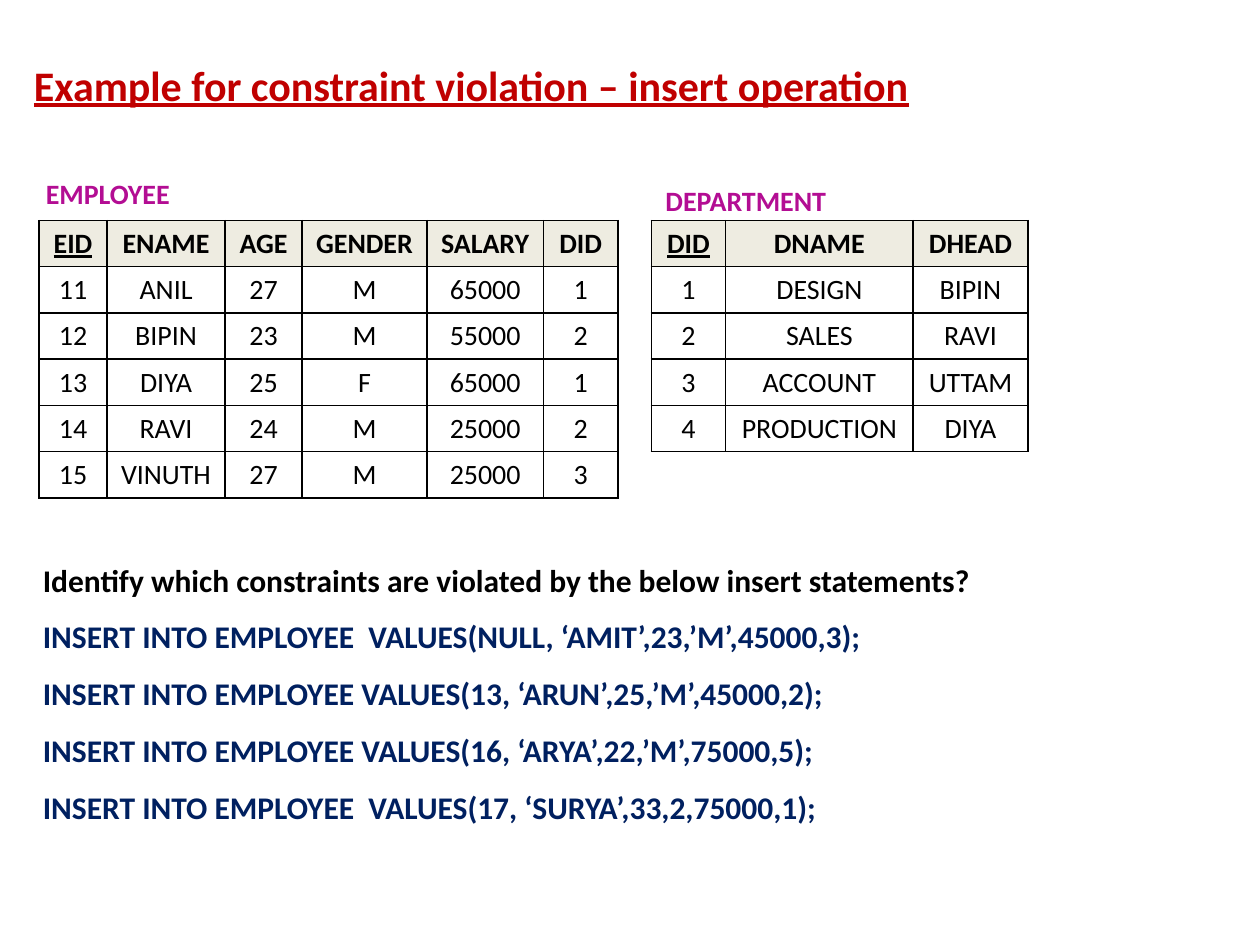
from lxml import etree
from pptx import Presentation
from pptx.dml.color import RGBColor
from pptx.enum import text as tx
from pptx.oxml import ns
from pptx.util import Pt

HUES = {"title": "C00000", "name": "B30D93", "ink": "000000",
        "code": "002060", "head": "EEECE1", "page": "FFFFFF"}
LEFT, MID, JUST = tx.PP_ALIGN.LEFT, tx.PP_ALIGN.CENTER, tx.PP_ALIGN.JUSTIFY
ROW = 26.4


def write(para, words, size=16, hue="ink", bold=True, line=False, align=MID, gap=1):
    para.alignment = align
    para.line_spacing = gap
    para.space_before = Pt(0)
    run = para.add_run()
    run.text = words
    font = run.font
    font.name, font.size, font.bold, font.underline = "Calibri", Pt(size), bold, line
    font.color.rgb = RGBColor.from_string(HUES[hue])


def edge(cell):
    """Draw a 1 pt line on all four sides of a cell, ahead of its fill."""
    props = cell._tc.get_or_add_tcPr()
    for spot, side in enumerate(("lnL", "lnR", "lnT", "lnB")):
        line = etree.Element(ns.qn("a:" + side), w=str(Pt(1)))
        fill = etree.SubElement(line, ns.qn("a:solidFill"))
        etree.SubElement(fill, ns.qn("a:srgbClr"), val=HUES["ink"])
        props.insert(spot, line)


prs = Presentation()
prs.slide_width, prs.slide_height = Pt(720), Pt(540)
slide = prs.slides.add_slide(prs.slide_layouts[1])

# Title
title = slide.shapes.title
title.left, title.top, title.width, title.height = Pt(12.2), Pt(30.2), Pt(520), Pt(36)
frame = title.text_frame
frame.auto_size = tx.MSO_AUTO_SIZE.NONE
frame.word_wrap = False
frame.vertical_anchor = tx.MSO_ANCHOR.TOP
write(frame.paragraphs[0], "Example for constraint violation – insert operation",
      size=24, hue="title", line=True, align=LEFT)

# Question and statements
body = slide.placeholders[1]
body.left, body.top, body.width, body.height = Pt(17.3), Pt(306), Pt(594.7), Pt(170.6)
frame = body.text_frame
frame.auto_size = tx.MSO_AUTO_SIZE.NONE
frame.word_wrap = True
lines = [
    "Identify which constraints are violated by the below insert statements?",
    "INSERT INTO EMPLOYEE  VALUES(NULL, ‘AMIT’,23,’M’,45000,3);",
    "INSERT INTO EMPLOYEE VALUES(13, ‘ARUN’,25,’M’,45000,2);",
    "INSERT INTO EMPLOYEE VALUES(16, ‘ARYA’,22,’M’,75000,5);",
    "INSERT INTO EMPLOYEE  VALUES(17, ‘SURYA’,33,2,75000,1);",
]
for i, words in enumerate(lines):
    para = frame.add_paragraph() if i else frame.paragraphs[0]
    props = para._p.get_or_add_pPr()
    props.set("marL", "0")
    props.set("indent", "0")
    etree.SubElement(props, ns.qn("a:buNone"))
    write(para, words, size=18, hue="code" if i else "ink", align=JUST, gap=1.5)

# Tables: name, name box (left, top, width), table left, column widths, rows
tables = [
    ("EMPLOYEE", (16.6, 97.2, 90), 22.3, (38.9, 67.4, 44.1, 71.3, 66.6, 42.5), [
        ("EID", "ENAME", "AGE", "GENDER", "SALARY", "DID"),
        ("11", "ANIL", "27", "M", "65000", "1"),
        ("12", "BIPIN", "23", "M", "55000", "2"),
        ("13", "DIYA", "25", "F", "65000", "1"),
        ("14", "RAVI", "24", "M", "25000", "2"),
        ("15", "VINUTH", "27", "M", "25000", "3"),
    ]),
    ("DEPARTMENT", (372.2, 101.5, 108), 372.2, (42.5, 107.1, 65.6), [
        ("DID", "DNAME", "DHEAD"),
        ("1", "DESIGN", "BIPIN"),
        ("2", "SALES", "RAVI"),
        ("3", "ACCOUNT", "UTTAM"),
        ("4", "PRODUCTION", "DIYA"),
    ]),
]
for name, (x, y, wide), left, cols, rows in tables:
    box = slide.shapes.add_textbox(Pt(x), Pt(y), Pt(wide), Pt(26.6))
    box.text_frame.word_wrap = True
    write(box.text_frame.paragraphs[0], name, hue="name")

    grid = slide.shapes.add_table(len(rows), len(cols), Pt(left), Pt(126),
                                  Pt(sum(cols)), Pt(ROW * len(rows))).table
    grid.horz_banding = False
    for col, wide in zip(grid.columns, cols):
        col.width = Pt(wide)
    for r, row in enumerate(rows):
        grid.rows[r].height = Pt(ROW)
        for c, words in enumerate(row):
            cell = grid.cell(r, c)
            cell.fill.solid()
            cell.fill.fore_color.rgb = RGBColor.from_string(HUES["page" if r else "head"])
            edge(cell)
            write(cell.text_frame.paragraphs[0], words, bold=r == 0, line=r == c == 0)

prs.save("out.pptx")
